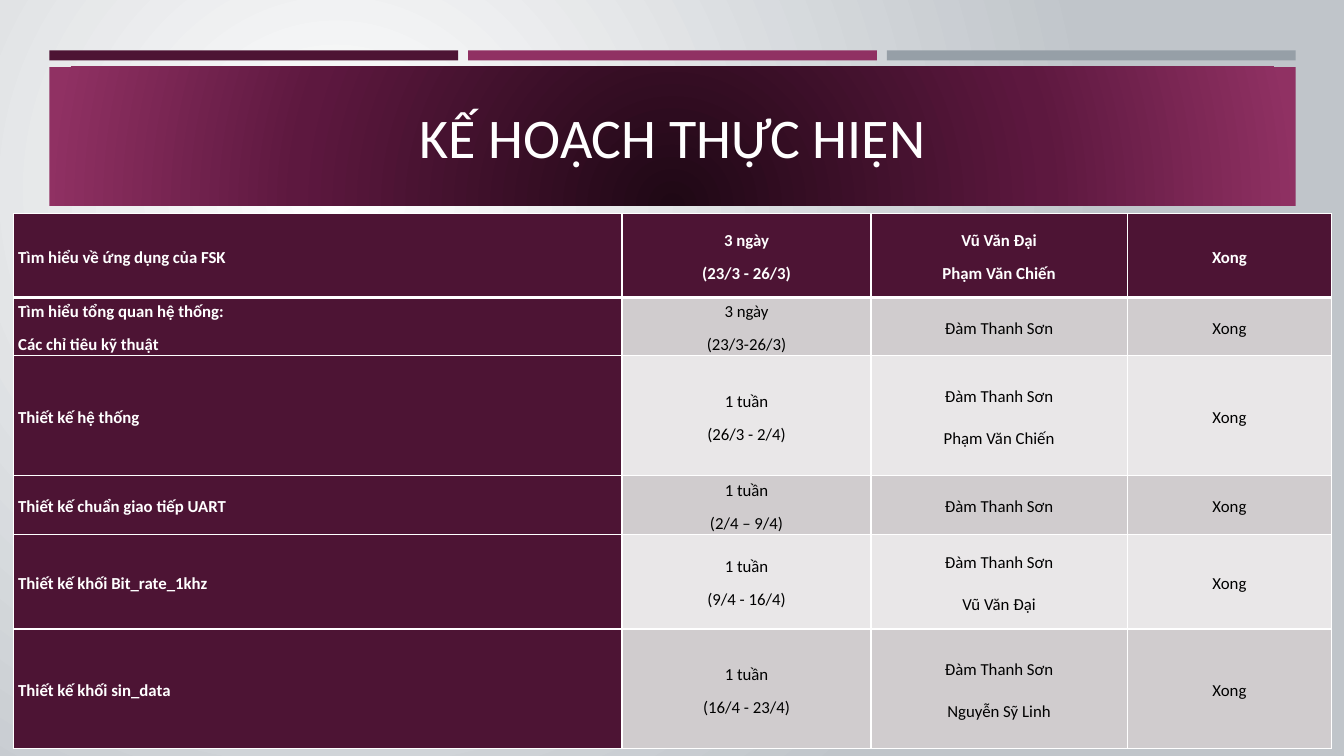
import pptx
import pptx.dml.color
import pptx.enum.shapes
import pptx.enum.text
import pptx.oxml
import pptx.oxml.ns
import pptx.util

Inches = pptx.util.Inches
Pt = pptx.util.Pt
ALIGN = pptx.enum.text.PP_ALIGN
MIDDLE = pptx.enum.text.MSO_ANCHOR.MIDDLE

COLORS = {
    "plum": "4D1434", "magenta": "903163", "slate": "969FA7",
    "band_dark": "1F0815", "band_mid": "5D183F",
    "white": "FFFFFF", "black": "000000", "backdrop": "C0C5CA",
    "row_dark": "D0CCCE", "row_light": "E9E7E8",
}
FONT = "Calibri"
COLUMN_WIDTHS = [6.04, 2.47, 2.54, 2.03]
ROW_HEIGHTS = [0.83, 0.58, 1.19, 0.58, 0.94, 1.19]
# Each cell is a list of paragraphs: task, time, people, status
PLAN = [
    (["Tìm hiểu về ứng dụng của FSK"], ["3 ngày", "(23/3 - 26/3)"],
     ["Vũ Văn Đại", "Phạm Văn Chiến"], ["Xong"]),
    (["Tìm hiểu tổng quan hệ thống:", "Các chỉ tiêu kỹ thuật"],
     ["3 ngày", "(23/3-26/3)"], ["Đàm Thanh Sơn"], ["Xong"]),
    (["Thiết kế hệ thống"], ["1 tuần", "(26/3 - 2/4)"],
     ["Đàm Thanh Sơn", "Phạm Văn Chiến"], ["Xong"]),
    (["Thiết kế chuẩn giao tiếp UART"], ["1 tuần", "(2/4 – 9/4)"],
     ["Đàm Thanh Sơn"], ["Xong"]),
    (["Thiết kế khối Bit_rate_1khz"], ["1 tuần", "(9/4 - 16/4)"],
     ["Đàm Thanh Sơn", "Vũ Văn Đại"], ["Xong"]),
    (["Thiết kế khối sin_data"], ["1 tuần", "(16/4 - 23/4)"],
     ["Đàm Thanh Sơn", "Nguyễn Sỹ Linh"], ["Xong"]),
]


def rgb(name):
    return pptx.dml.color.RGBColor.from_string(COLORS[name])


def fill_radial(fill, owner, stops, focus):
    """Give the owner element a circular gradient; focus is left, top, right, bottom in percent."""
    fill.gradient()
    old = owner.find(".//" + pptx.oxml.ns.qn("a:gradFill"))
    stops_xml = "".join(
        f'<a:gs pos="{position * 1000}"><a:srgbClr val="{COLORS[name]}"/></a:gs>'
        for position, name in stops)
    left, top, right, bottom = (percent * 1000 for percent in focus)
    new = pptx.oxml.parse_xml(
        f'<a:gradFill {pptx.oxml.ns.nsdecls("a")} rotWithShape="1">'
        f'<a:gsLst>{stops_xml}</a:gsLst><a:path path="circle">'
        f'<a:fillToRect l="{left}" t="{top}" r="{right}" b="{bottom}"/>'
        '</a:path></a:gradFill>')
    old.getparent().replace(old, new)


def add_rectangle(slide, left, top, width, height):
    shape = slide.shapes.add_shape(
        pptx.enum.shapes.MSO_SHAPE.RECTANGLE,
        Inches(left), Inches(top), Inches(width), Inches(height))
    shape.shadow.inherit = False
    shape.line.fill.background()
    return shape


def add_top_bars(slide, left, top, width, height, gap=0.1):
    names = ["plum", "magenta", "slate"]
    bar_width = (width - gap * (len(names) - 1)) / len(names)
    for index, name in enumerate(names):
        bar = add_rectangle(slide, left + index * (bar_width + gap), top, bar_width, height)
        bar.fill.solid()
        bar.fill.fore_color.rgb = rgb(name)


def style_run(run, size, color, bold=False):
    run.font.name = FONT
    run.font.size = Pt(size)
    run.font.bold = bold
    run.font.color.rgb = rgb(color)


def add_title_band(slide, left, top, width, height):
    band = add_rectangle(slide, left, top, width, height)
    fill_radial(band.fill, band._element,
                [(0, "band_dark"), (60, "band_mid"), (100, "magenta")], (50, 130, 50, -30))
    title = slide.shapes.title
    slide.shapes._spTree.append(title._element)  # bring in front of the band
    margin = 0.15
    title.left, title.top = Inches(left + margin), Inches(top + margin)
    title.width, title.height = Inches(width - 2 * margin), Inches(height - 2 * margin)
    title.text_frame.vertical_anchor = MIDDLE
    title.text_frame.word_wrap = True
    paragraph = title.text_frame.paragraphs[0]
    paragraph.alignment = ALIGN.CENTER
    run = paragraph.add_run()
    run.text = "KẾ HOẠCH THỰC HIỆN"
    style_run(run, 40, "white")


def set_borders(cell, top, bottom):
    """Draw white borders; top and bottom are widths in points."""
    properties = cell._tc.get_or_add_tcPr()
    for index, (side, width) in enumerate([("L", 1), ("R", 1), ("T", top), ("B", bottom)]):
        properties.insert(index, pptx.oxml.parse_xml(
            f'<a:ln{side} {pptx.oxml.ns.nsdecls("a")} w="{Pt(width)}"><a:solidFill>'
            f'<a:srgbClr val="{COLORS["white"]}"/></a:solidFill></a:ln{side}>'))


def fill_cell(cell, lines, row, column):
    emphasized = row == 0 or column == 0
    banding = "row_dark" if row % 2 else "row_light"
    cell.fill.solid()
    cell.fill.fore_color.rgb = rgb("plum" if emphasized else banding)
    cell.vertical_anchor = MIDDLE
    cell.margin_left = cell.margin_right = Inches(0.05)
    cell.margin_top = cell.margin_bottom = 0
    set_borders(cell, top=3 if row == 1 else 1, bottom=3 if row == 0 else 1)
    for index, line in enumerate(lines):
        frame = cell.text_frame
        paragraph = frame.add_paragraph() if index else frame.paragraphs[0]
        paragraph.alignment = ALIGN.CENTER if column else ALIGN.JUSTIFY
        paragraph.line_spacing = 1.2
        paragraph.space_before = Pt(6)
        if column == 2 and row > 1:
            paragraph.space_after = Pt(6)
        run = paragraph.add_run()
        run.text = line
        style_run(run, 12, "white" if emphasized else "black", emphasized)


def add_plan_table(slide, left, top, width, height):
    table = slide.shapes.add_table(
        len(PLAN), len(COLUMN_WIDTHS),
        Inches(left), Inches(top), Inches(width), Inches(height)).table
    for column, column_width in zip(table.columns, COLUMN_WIDTHS):
        column.width = Inches(column_width)
    for row, row_height in zip(table.rows, ROW_HEIGHTS):
        row.height = Inches(row_height)
    for row, entries in enumerate(PLAN):
        for column, lines in enumerate(entries):
            fill_cell(table.cell(row, column), lines, row, column)


def main():
    presentation = pptx.Presentation()
    presentation.slide_width = Inches(13.33)
    presentation.slide_height = Inches(7.5)
    slide = presentation.slides.add_slide(presentation.slide_layouts[5])
    fill_radial(slide.background.fill, slide._element,
                [(0, "white"), (100, "backdrop")], (50, 50, 100, 100))
    add_top_bars(slide, 0.49, 0.5, 12.36, 0.1)
    add_title_band(slide, 0.49, 0.66, 12.36, 1.38)
    add_plan_table(slide, 0.13, 2.12, sum(COLUMN_WIDTHS), sum(ROW_HEIGHTS))
    presentation.save("out.pptx")


if __name__ == "__main__":
    main()
